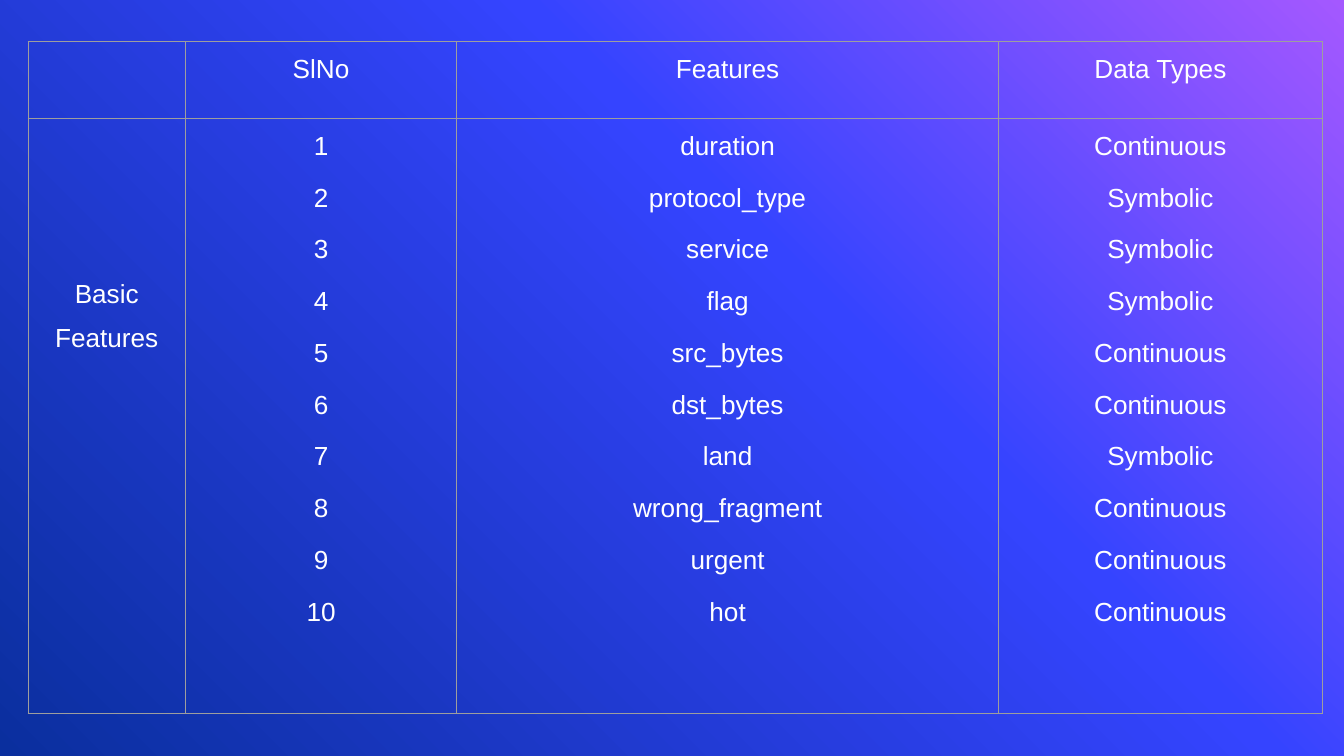
from copy import deepcopy
from dataclasses import dataclass

from lxml import etree
from pptx import Presentation
from pptx.dml.color import RGBColor
from pptx.enum import text
from pptx.oxml import ns
from pptx.util import Inches, Pt


@dataclass(frozen=True)
class Theme:
    font: str = "Arial"
    size: int = 14
    text: str = "FFFFFF"
    border: str = "9E9E9E"
    border_width: float = 0.75
    gradient: tuple = ((0, "A458FF"), (0.39, "3544FF"), (1, "0A2F9E"))


THEME = Theme()
HEADERS = ("", "SlNo", "Features", "Data Types")
FEATURES = (
    ("duration", "Continuous"),
    ("protocol_type", "Symbolic"),
    ("service", "Symbolic"),
    ("flag", "Symbolic"),
    ("src_bytes", "Continuous"),
    ("dst_bytes", "Continuous"),
    ("land", "Symbolic"),
    ("wrong_fragment", "Continuous"),
    ("urgent", "Continuous"),
    ("hot", "Continuous"),
)
COLUMN_WIDTHS = (1.17, 2.02, 4.03, 2.41)
ROW_HEIGHTS = (0.57, 4.43)


def paint_background(slide):
    fill = slide.background.fill
    fill.gradient()
    fill.gradient_angle = 225
    stop_list = slide._element.find(".//" + ns.qn("a:gsLst"))
    stop_list.insert(1, deepcopy(stop_list[0]))
    for stop, (position, color) in zip(fill.gradient_stops, THEME.gradient):
        stop.color.rgb = RGBColor.from_string(color)
        stop.position = position


def style_cell(cell):
    """Clear the fill, draw all four borders and set equal margins."""
    cell.fill.background()
    cell.margin_left = cell.margin_right = Inches(0.1)
    cell.margin_top = cell.margin_bottom = Inches(0.1)
    properties = cell._tc.get_or_add_tcPr()
    for index, side in enumerate(("lnL", "lnR", "lnT", "lnB")):
        line = etree.Element(ns.qn(f"a:{side}"), w=str(Pt(THEME.border_width)))
        solid = etree.SubElement(line, ns.qn("a:solidFill"))
        etree.SubElement(solid, ns.qn("a:srgbClr"), val=THEME.border)
        properties.insert(index, line)


def write_cell(cell, lines, line_spacing=None):
    frame = cell.text_frame
    for index, line in enumerate(lines):
        paragraph = frame.add_paragraph() if index else frame.paragraphs[0]
        paragraph.alignment = text.PP_ALIGN.CENTER
        if index:
            paragraph.space_before = Pt(12)
        if line_spacing:
            paragraph.line_spacing = line_spacing
        run = paragraph.add_run()
        run.text = line
        run.font.name = THEME.font
        run.font.size = Pt(THEME.size)
        run.font.color.rgb = RGBColor.from_string(THEME.text)


def add_feature_table(slide, left, top, width, height):
    """Place the table, sharing the box out in proportion to the column and row sizes."""
    table = slide.shapes.add_table(
        len(ROW_HEIGHTS), len(COLUMN_WIDTHS),
        Inches(left), Inches(top), Inches(width), Inches(height),
    ).table
    table.first_row = table.horz_banding = False
    for column, share in zip(table.columns, COLUMN_WIDTHS):
        column.width = Inches(width * share / sum(COLUMN_WIDTHS))
    for row, share in zip(table.rows, ROW_HEIGHTS):
        row.height = Inches(height * share / sum(ROW_HEIGHTS))
    for cell in table.iter_cells():
        style_cell(cell)

    for index, header in enumerate(HEADERS):
        if header:
            write_cell(table.cell(0, index), [header])

    group_cell = table.cell(1, 0)
    group_cell.margin_top = Inches(1.09)
    write_cell(group_cell, ["Basic Features"], line_spacing=1.5)

    names, data_types = zip(*FEATURES)
    numbers = [str(number) for number in range(1, len(FEATURES) + 1)]
    for index, lines in enumerate((numbers, names, data_types), start=1):
        write_cell(table.cell(1, index), lines)


def main():
    presentation = Presentation()
    presentation.slide_width = Inches(10)
    presentation.slide_height = presentation.slide_width * 9 // 16
    slide = presentation.slides.add_slide(presentation.slide_layouts[6])
    paint_background(slide)
    add_feature_table(slide, 0.21, 0.31, sum(COLUMN_WIDTHS), sum(ROW_HEIGHTS))
    presentation.save("out.pptx")


if __name__ == "__main__":
    main()
